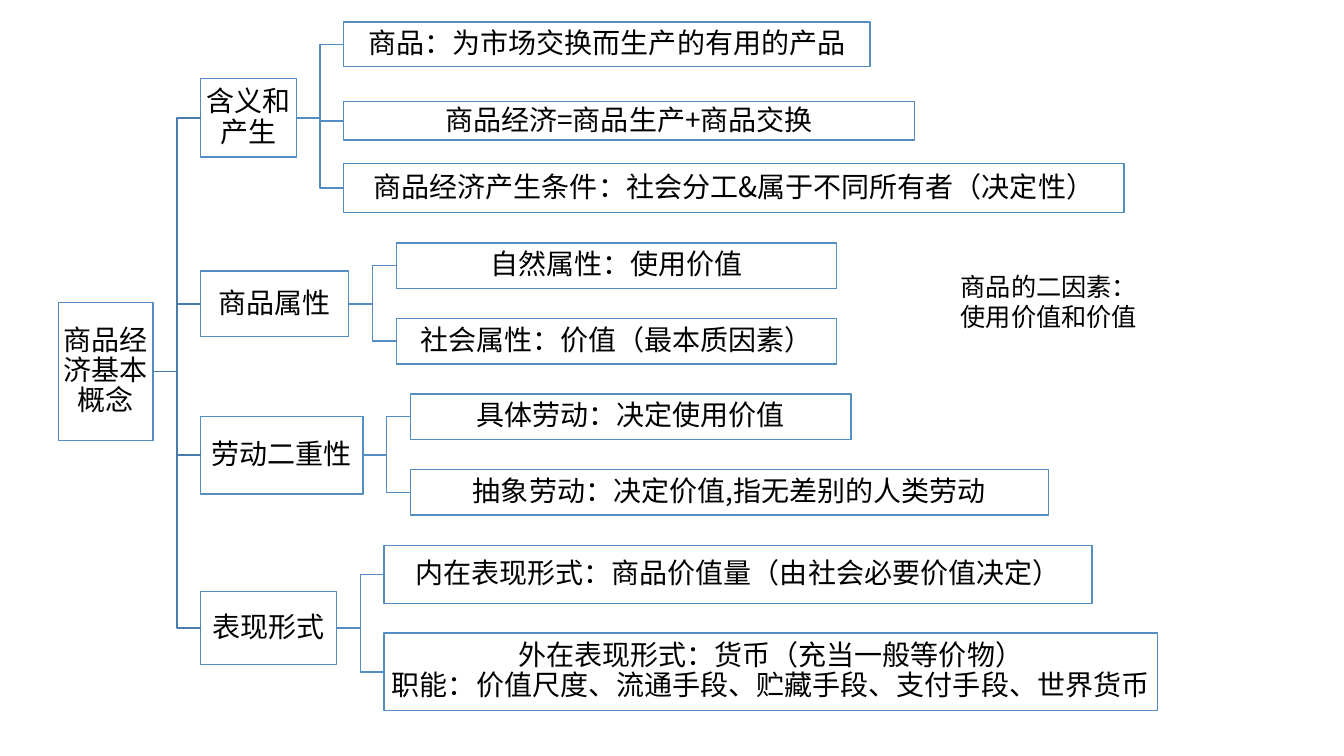
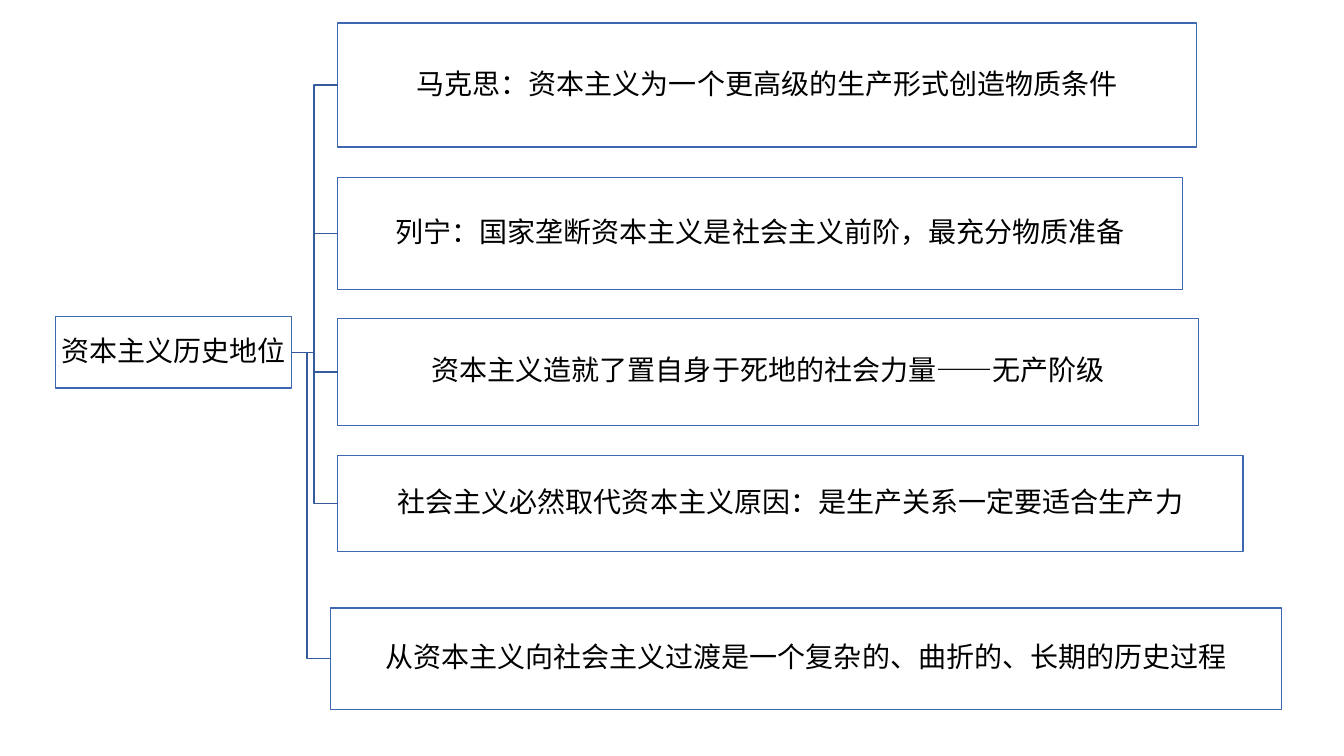
from dataclasses import dataclass
from typing import Optional

from lxml.etree import SubElement
from pptx import Presentation
from pptx.dml.color import RGBColor
from pptx.enum.shapes import MSO_CONNECTOR as CONN, MSO_SHAPE as SHAPE
from pptx.enum.text import MSO_ANCHOR as ANCHOR, PP_ALIGN as ALIGN
from pptx.oxml.ns import qn
from pptx.util import Inches, Pt

FONT = "Noto Sans CJK SC"
COLORS = {
    "text": "000000",
    "box": "FFFFFF",
    "light_blue": "538DC1",
    "mid_blue": "497CAB",
    "royal_blue": "3E67B2",
    "dark_blue": "365B9D",
}
ELBOW = 0.235  # from the bend of a branch line to the child box
RIGHT_SITE, LEFT_SITE = 3, 1
MARGINS = ("margin_left", "margin_top", "margin_right", "margin_bottom")
BOX_FRAME = {"word_wrap": True, "vertical_anchor": ANCHOR.MIDDLE,
             **{m: Inches(0.01) for m in MARGINS}}
BOX_PARAGRAPH = {"alignment": ALIGN.CENTER, "line_spacing": 0.9}


@dataclass(frozen=True)
class Node:
    text: str
    left: float
    top: float
    width: float
    height: float
    children: tuple["Node", ...] = ()


@dataclass(frozen=True)
class Theme:
    border: str
    branches: tuple[str, ...]  # line colour for each level of the tree


def column(left: float, *rows: tuple) -> tuple[Node, ...]:
    """Nodes sharing a left edge, from (text, top, width, height, children) rows."""
    return tuple(Node(row[0], left, *row[1:]) for row in rows)


GOODS_TREE = Node("商品经济基本概念", 0.58, 3, 0.94, 1.37, column(
    1.99,
    ("含义和产生", 0.78, 0.95, 0.78, column(
        3.41,
        ("商品：为市场交换而生产的有用的产品", 0.22, 5.22, 0.44),
        ("商品经济=商品生产+商品交换", 1.01, 5.66, 0.38),
        ("商品经济产生条件：社会分工&属于不同所有者（决定性）", 1.62, 7.74, 0.49))),
    ("商品属性", 2.69, 1.47, 0.65, column(
        3.93,
        ("自然属性：使用价值", 2.41, 4.37, 0.45),
        ("社会属性：价值（最本质因素）", 3.16, 4.37, 0.45))),
    ("劳动二重性", 4.13, 1.61, 0.77, column(
        4.07,
        ("具体劳动：决定使用价值", 3.91, 4.37, 0.45),
        ("抽象劳动：决定价值,指无差别的人类劳动", 4.66, 6.33, 0.45))),
    ("表现形式", 5.87, 1.35, 0.72, column(
        3.81,
        ("内在表现形式：商品价值量（由社会必要价值决定）", 5.41, 7.02, 0.58),
        ("外在表现形式：货币（充当一般等价物）\n"
         "职能：价值尺度、流通手段、贮藏手段、支付手段、世界货币", 6.28, 7.67, 0.77))),
))

CAPITALISM_TREE = Node("资本主义历史地位", 0.55, 3.14, 2.34, 0.71, (
    *column(
        3.35,
        ("马克思：资本主义为一个更高级的生产形式创造物质条件", 0.23, 8.52, 1.23),
        ("列宁：国家垄断资本主义是社会主义前阶，最充分物质准备", 1.76, 8.38, 1.11),
        ("资本主义造就了置自身于死地的社会力量——无产阶级", 3.16, 8.54, 1.06),
        ("社会主义必然取代资本主义原因：是生产关系一定要适合生产力", 4.52, 8.98, 0.95)),
    Node("从资本主义向社会主义过渡是一个复杂的、曲折的、长期的历史过程",
         3.28, 6.03, 9.43, 1.01),
))


def rgb(name: str) -> RGBColor:
    return RGBColor.from_string(COLORS[name])


def apply(target, values: dict) -> None:
    for name, value in values.items():
        setattr(target, name, value)


def write(p, text: str, size: int) -> None:
    p.text = text
    for r in p.runs:
        apply(r.font, {"name": FONT, "size": Pt(size)})
        r.font.color.rgb = rgb("text")
        SubElement(r.font._element, qn("a:ea"), typeface=FONT)


def add_box(s, node: Node, border: str):
    sp = s.shapes.add_shape(SHAPE.RECTANGLE, *map(
        Inches, (node.left, node.top, node.width, node.height)))
    sp.shadow.inherit = False
    sp.fill.solid()
    sp.fill.fore_color.rgb = rgb("box")
    sp.line.color.rgb = rgb(border)
    sp.line.width = Pt(1)
    tf = sp.text_frame
    apply(tf, BOX_FRAME)
    p = tf.paragraphs[0]
    apply(p, BOX_PARAGRAPH)
    write(p, node.text, 20)
    return sp


def add_branch(s, parent, child, color: str) -> None:
    """Elbow line from the parent's right side to the child's left side."""
    line = s.shapes.add_connector(CONN.ELBOW, 0, 0, 0, 0)
    line.begin_connect(parent, RIGHT_SITE)
    line.end_connect(child, LEFT_SITE)
    line.line.color.rgb = rgb(color)
    line.line.width = Pt(1)
    bend = round(100000 * (1 - Inches(ELBOW) / line.width))
    spPr = line._element.spPr
    guides = spPr.find(qn("a:prstGeom")).get_or_add_avLst()
    SubElement(guides, qn("a:gd"), name="adj1", fmla=f"val {bend}")
    SubElement(spPr, qn("a:effectLst"))


def draw_tree(s, node: Node, theme: Theme, parent: Optional[object] = None,
              level: int = 0) -> None:
    box = add_box(s, node, theme.border)
    if parent is not None:
        add_branch(s, parent, box, theme.branches[level - 1])
    for child in node.children:
        draw_tree(s, child, theme, box, level + 1)


def add_note(s, lines: tuple[str, ...]) -> None:
    tf = s.shapes.add_textbox(*map(Inches, (9.43, 2.64, 2.78, 0.71))).text_frame
    tf.word_wrap = True
    for i, text in enumerate(lines):
        write(tf.add_paragraph() if i else tf.paragraphs[0], text, 18)


def main() -> None:
    prs = Presentation()
    prs.slide_width, prs.slide_height = Inches(13.33), Inches(7.5)
    blank = prs.slide_layouts[6]

    s = prs.slides.add_slide(blank)
    draw_tree(s, GOODS_TREE, Theme("light_blue", ("mid_blue", "light_blue")))
    add_note(s, ("商品的二因素：", "使用价值和价值"))

    s = prs.slides.add_slide(blank)
    draw_tree(s, CAPITALISM_TREE, Theme("royal_blue", ("dark_blue",)))

    prs.save("out.pptx")


if __name__ == "__main__":
    main()
